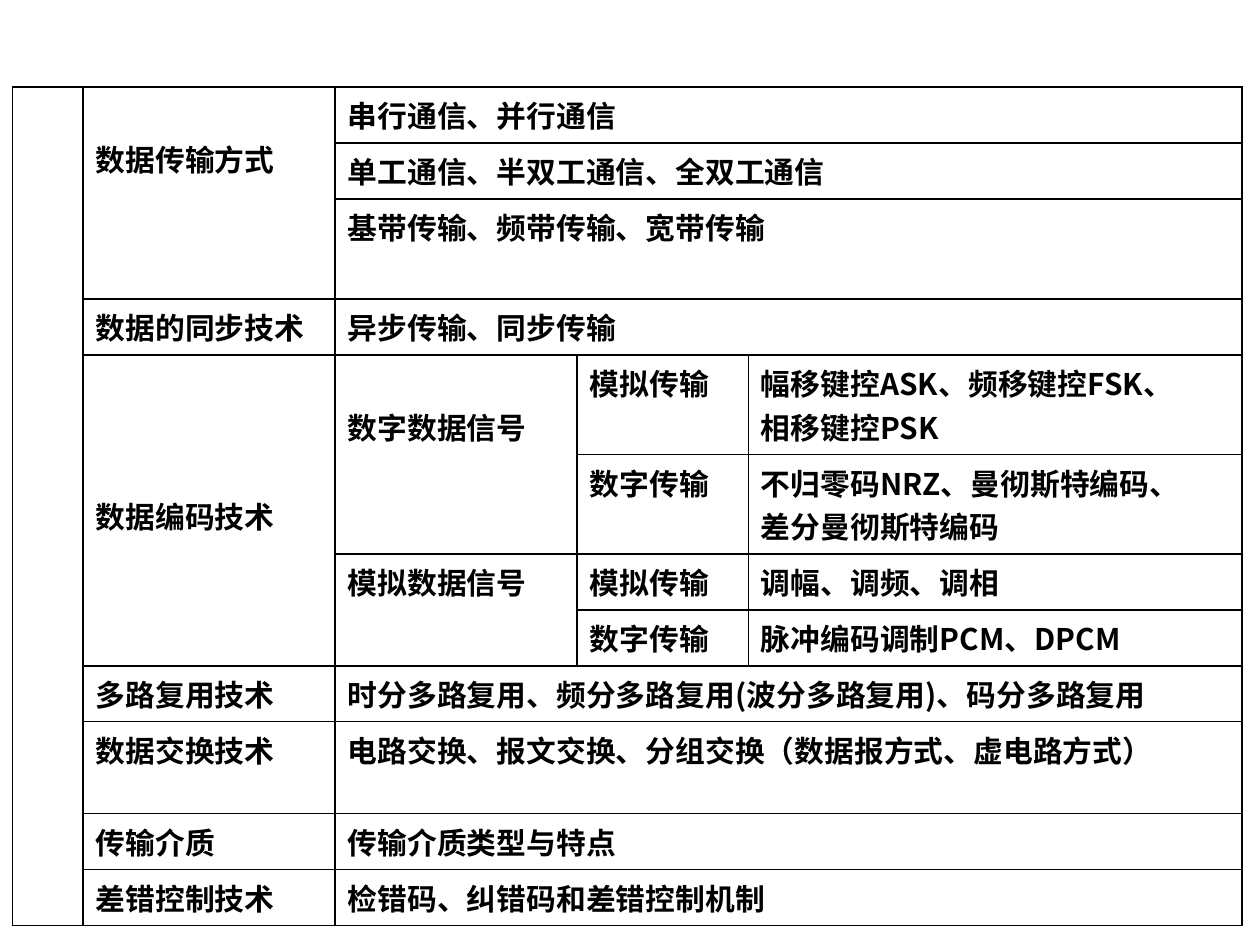
"""Build a slide with a table that sums up data communication techniques."""
from dataclasses import dataclass

from lxml import etree
from pptx import Presentation
from pptx import util as u
from pptx.dml.color import RGBColor
from pptx.oxml import ns

BLACK = RGBColor(0, 0, 0)
FONT = "Noto Sans CJK SC"
SIZE = 17
LINE = 0.35
PAD = 0.05
ONE, TWO, GAP = 0.44, 0.79, 0.73
COLS = [0.56, 2, 1.92, 1.36, 3.92]
ROWS = [ONE, ONE, TWO, ONE, TWO, TWO, ONE, ONE, ONE, GAP, ONE, ONE]


@dataclass
class Entry:
    """A cell by grid place, span and count of lines its text is lowered."""
    row: int
    col: int
    words: str
    down: int = 1
    over: int = 1
    drop: int = 0


ITEMS = [
    Entry(0, 0, "", down=12),
    Entry(0, 1, "数据传输方式", down=3, drop=1),
    Entry(0, 2, "串行通信、并行通信", over=3),
    Entry(1, 2, "单工通信、半双工通信、全双工通信", over=3),
    Entry(2, 2, "基带传输、频带传输、宽带传输", over=3),
    Entry(3, 1, "数据的同步技术"),
    Entry(3, 2, "异步传输、同步传输", over=3),
    Entry(4, 1, "数据编码技术", down=4, drop=3),
    Entry(4, 2, "数字数据信号", down=2, drop=1),
    Entry(4, 3, "模拟传输"),
    Entry(4, 4, "幅移键控ASK、频移键控FSK、\n相移键控PSK"),
    Entry(5, 3, "数字传输"),
    Entry(5, 4, "不归零码NRZ、曼彻斯特编码、\n差分曼彻斯特编码"),
    Entry(6, 2, "模拟数据信号", down=2),
    Entry(6, 3, "模拟传输"),
    Entry(6, 4, "调幅、调频、调相"),
    Entry(7, 3, "数字传输"),
    Entry(7, 4, "脉冲编码调制PCM、DPCM"),
    Entry(8, 1, "多路复用技术"),
    Entry(8, 2, "时分多路复用、频分多路复用(波分多路复用)、码分多路复用", over=3),
    Entry(9, 1, "数据交换技术"),
    Entry(9, 2, "电路交换、报文交换、分组交换（数据报方式、虚电路方式）", over=3),
    Entry(10, 1, "传输介质"),
    Entry(10, 2, "传输介质类型与特点", over=3),
    Entry(11, 1, "差错控制技术"),
    Entry(11, 2, "检错码、纠错码和差错控制机制", over=3),
]


def frame(cell) -> None:
    """Give a cell four black borders and no fill."""
    props = cell._tc.get_or_add_tcPr()
    for side in ("lnL", "lnR", "lnT", "lnB"):
        edge = etree.SubElement(props, ns.qn(f"a:{side}"), w=str(u.Pt(1)))
        fill = etree.SubElement(edge, ns.qn("a:solidFill"))
        etree.SubElement(fill, ns.qn("a:srgbClr"), val=str(BLACK))
    cell.fill.background()


def write(table, item: Entry) -> None:
    """Merge the cells of an entry and set its text."""
    cell = table.cell(item.row, item.col)
    if item.down * item.over > 1:
        cell.merge(table.cell(item.row + item.down - 1,
                              item.col + item.over - 1))
    cell.margin_top = u.Inches(PAD + item.drop * LINE)
    cell.text_frame.text = item.words
    for para in cell.text_frame.paragraphs:
        for run in para.runs:
            run.font.name = FONT
            run.font.size = u.Pt(SIZE)
            run.font.bold = True
            run.font.color.rgb = BLACK
            etree.SubElement(run._r.get_or_add_rPr(), ns.qn("a:ea"),
                             typeface=FONT)


def main() -> None:
    """Draw the table and save the deck."""
    deck = Presentation()
    deck.slide_width, deck.slide_height = u.Inches(10), u.Inches(7.5)
    slide = deck.slides.add_slide(deck.slide_layouts[6])
    table = slide.shapes.add_table(
        len(ROWS), len(COLS), u.Inches(0.1), u.Inches(0.69),
        u.Inches(sum(COLS)), u.Inches(sum(ROWS))).table
    table.first_row = table.horz_banding = False
    for col, width in zip(table.columns, COLS):
        col.width = u.Inches(width)
    for row, height in zip(table.rows, ROWS):
        row.height = u.Inches(height)
    for cell in table.iter_cells():
        frame(cell)
    for item in ITEMS:
        write(table, item)
    deck.save("out.pptx")


if __name__ == "__main__":
    main()
